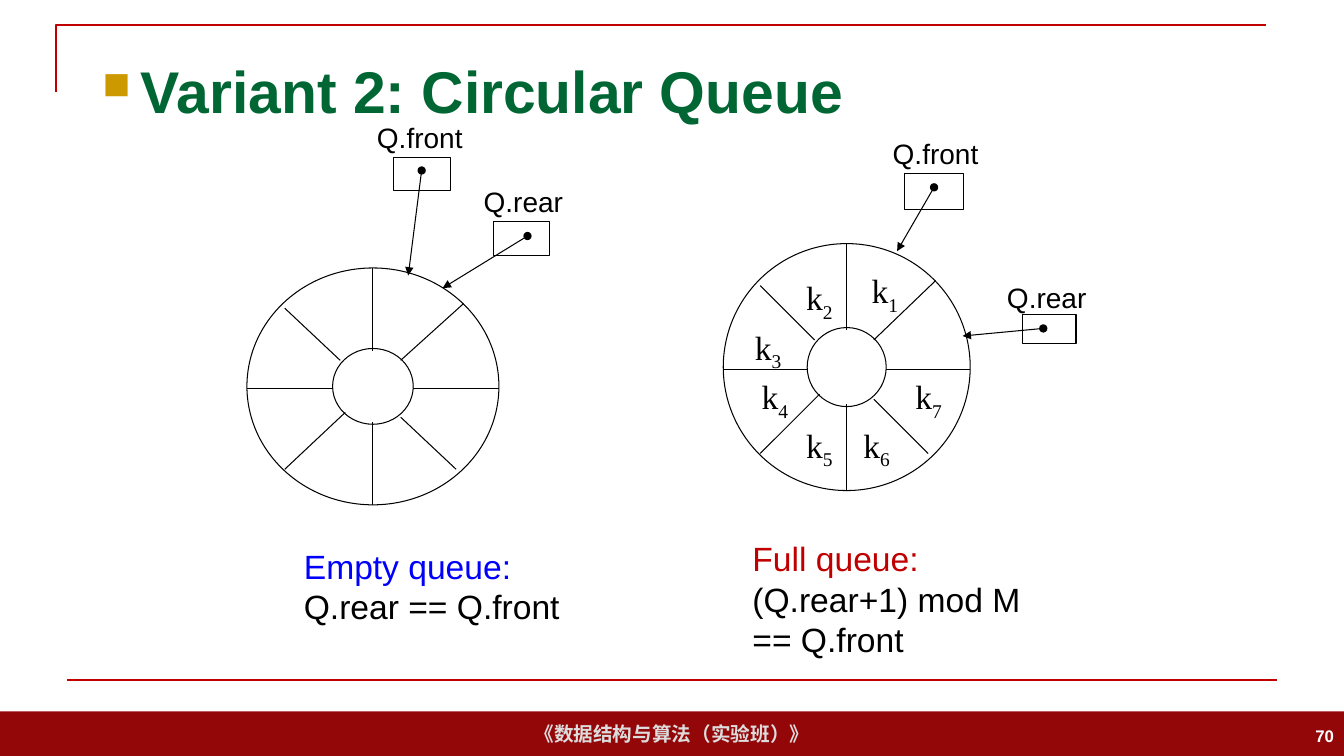
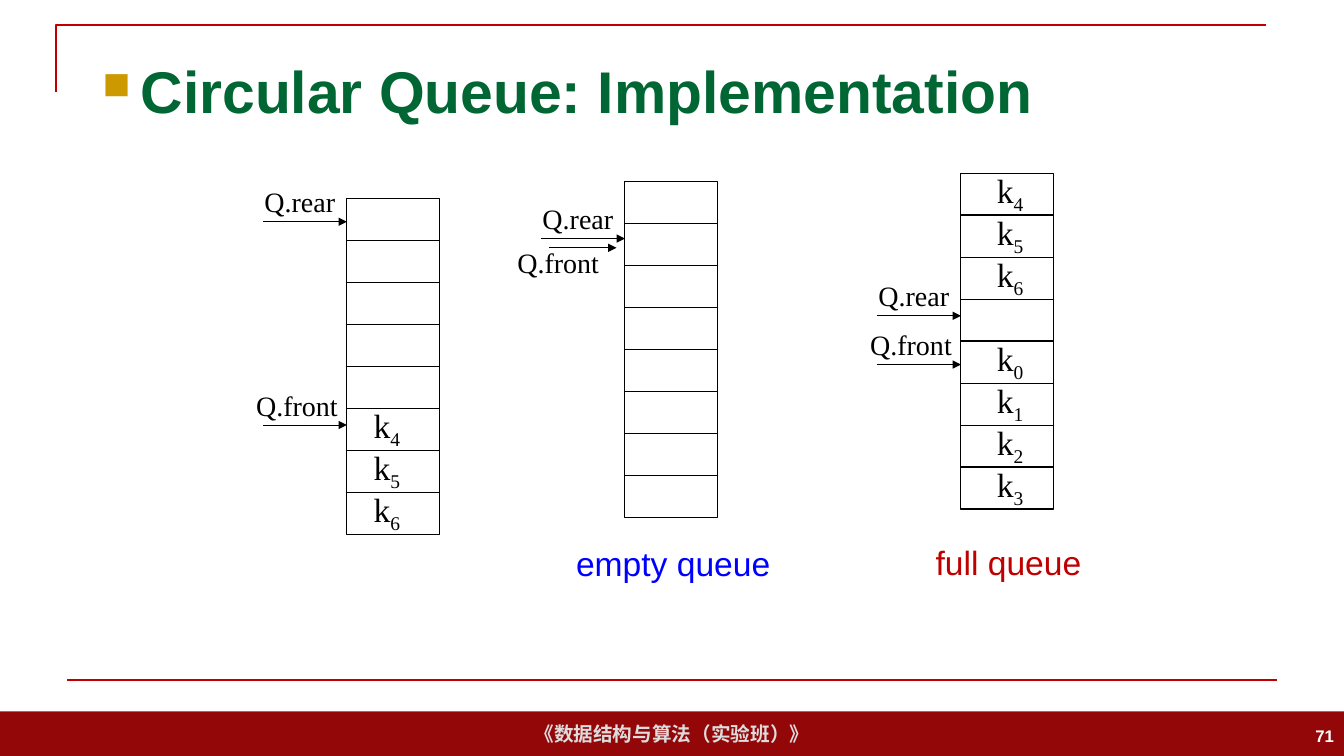
from dataclasses import dataclass

from lxml import etree
from pptx import Presentation
from pptx import util as u
from pptx.dml.color import RGBColor
from pptx.enum import shapes, text
from pptx.oxml import ns

# The slide is a grid of 160 columns by 90 rows, each 1/12 inch
COLUMNS, ROWS = 160, 90
CELL = u.Inches(1) // 12
FIRST_NUMBER = 70


@dataclass(frozen=True)
class Theme:
    ink: str = "000000"
    title: str = "006633"
    bullet: str = "CC9900"
    rule: str = "C00000"
    band: str = "940709"
    band_text: str = "DDDDDD"
    white: str = "FFFFFF"
    empty: str = "0000FF"
    full: str = "C00000"
    sans: str = "Arial"
    serif: str = "Times New Roman"
    title_size: int = 42
    body_size: int = 24
    label_size: int = 20
    footer_size: int = 14
    number_size: int = 12
    thin: float = 0.75
    thick: float = 1.5


THEME = Theme()


def grid(*lengths):
    return [u.Emu(round(length * CELL)) for length in lengths]


def add_xml(parent, tag, **attributes):
    return etree.SubElement(parent, ns.qn(tag), **attributes)


def write(paragraph, content, *, size=THEME.body_size, font=THEME.sans,
          color=THEME.ink, bold=False, align=text.PP_ALIGN.LEFT, subscript=False):
    """Add one formatted run to a paragraph."""
    paragraph.alignment = align
    run = paragraph.add_run()
    run.text = content
    run.font.size = u.Pt(size)
    run.font.name = font
    run.font.bold = bold
    run.font.color.rgb = RGBColor.from_string(color)
    if subscript:
        run._r.get_or_add_rPr().set("baseline", "-25000")


class Deck:
    """Holds the style and the current slide."""

    # Spokes of a ring as shares of its box: outer or inner end to the other end
    SPOKES = [
        (0.5, 0, 0.5, 0.35), (0.5, 0.65, 0.5, 1),
        (0, 0.51, 0.34, 0.51), (0.66, 0.51, 1, 0.51),
        (0.86, 0.15, 0.61, 0.39), (0.39, 0.61, 0.15, 0.85),
        (0.15, 0.17, 0.37, 0.39), (0.61, 0.63, 0.83, 0.85),
    ]
    HUB = (0.34, 0.34, 0.32, 0.32)
    SLOTS, SLOT_WIDTH, SLOT_HEIGHT = 8, 11, 5

    def __init__(self, theme):
        self.theme = theme
        self.prs = Presentation()
        self.prs.slide_width, self.prs.slide_height = grid(COLUMNS, ROWS)
        self.layout = self.prs.slide_layouts[5]
        self.slide = None
        for holder in list(self.layout.placeholders):
            if holder.placeholder_format.type == shapes.PP_PLACEHOLDER.TITLE:
                holder.left, holder.top, holder.width, holder.height = grid(11, 4.8, 138, 11.9)
            else:
                holder.element.getparent().remove(holder.element)

    # Slide, shared frame and title
    def new_slide(self, title):
        self.slide = self.prs.slides.add_slide(self.layout)
        if len(self.prs.slides) == 1:
            self.frame()
        self.title(title)
        number = str(FIRST_NUMBER + len(self.prs.slides) - 1)
        box = self.textbox(124, 85.2, 36, 4.8, wrap=True)
        box.vertical_anchor = text.MSO_ANCHOR.MIDDLE
        write(box.paragraphs[0], number, size=self.theme.number_size, bold=True,
              color=self.theme.white, align=text.PP_ALIGN.RIGHT)

    def frame(self):
        """Draw the band and rules, then hand them to the layout."""
        band = self.shape(shapes.MSO_SHAPE.RECTANGLE, 0, 84.7, COLUMNS, 5.3, fill=self.theme.band)
        band.text_frame.vertical_anchor = text.MSO_ANCHOR.MIDDLE
        band.text_frame.word_wrap = False
        write(band.text_frame.paragraphs[0], "《数据结构与算法（实验班）》",
              size=self.theme.footer_size, color=self.theme.band_text, bold=True,
              align=text.PP_ALIGN.CENTER)

        builder = self.slide.shapes.build_freeform(*grid(6.7, 11))
        builder.add_line_segments([grid(6.7, 3), grid(150.7, 3)], close=False)
        corner = builder.convert_to_shape()
        self.outline(corner, self.theme.rule, self.theme.thick)

        bottom = self.line(8, 81, 152, 81, color=self.theme.rule, width=self.theme.thick)
        for part in (band, corner, bottom):
            self.layout.element.cSld.spTree.append(part.element)

    def title(self, content):
        frame = self.slide.shapes.title.text_frame
        frame.vertical_anchor = text.MSO_ANCHOR.MIDDLE
        frame.auto_size = text.MSO_AUTO_SIZE.NONE
        paragraph = frame.paragraphs[0]
        write(paragraph, content, size=self.theme.title_size,
              color=self.theme.title, bold=True)
        # Square bullet with a hanging indent
        properties = paragraph._p.get_or_add_pPr()
        indent = u.Inches(0.38)
        properties.set("marL", str(indent))
        properties.set("indent", str(-indent))
        bullet_color = add_xml(properties, "a:buClr")
        add_xml(bullet_color, "a:srgbClr", val=self.theme.bullet)
        add_xml(properties, "a:buSzPct", val="65000")
        add_xml(properties, "a:buFont", typeface="Wingdings", charset="2")
        add_xml(properties, "a:buChar", char="n")

    # Basic elements
    def outline(self, shape, color, width):
        shape.shadow.inherit = False
        shape.fill.background()
        shape.line.color.rgb = RGBColor.from_string(color)
        shape.line.width = u.Pt(width)

    def shape(self, preset, left, top, width, height, fill=None):
        shape = self.slide.shapes.add_shape(preset, *grid(left, top, width, height))
        self.outline(shape, self.theme.ink, self.theme.thin)
        if fill:
            shape.fill.solid()
            shape.fill.fore_color.rgb = RGBColor.from_string(fill)
            shape.line.fill.background()
        return shape

    def line(self, x1, y1, x2, y2, color=None, width=None, head=None, tail=None):
        line = self.slide.shapes.add_connector(
            shapes.MSO_CONNECTOR.STRAIGHT, *grid(x1, y1, x2, y2))
        line.line.color.rgb = RGBColor.from_string(color or self.theme.ink)
        line.line.width = u.Pt(width or self.theme.thin)
        properties = line.element.spPr
        for tag, kind in (("a:headEnd", head), ("a:tailEnd", tail)):
            if kind:
                add_xml(properties.find(ns.qn("a:ln")), tag, type=kind)
        add_xml(properties, "a:effectLst")
        return line

    def textbox(self, left, top, width, height, wrap=False):
        frame = self.slide.shapes.add_textbox(*grid(left, top, width, height)).text_frame
        frame.word_wrap = wrap
        return frame

    def label(self, content, left, top, width, font):
        frame = self.textbox(left, top, width, 5.2)
        write(frame.paragraphs[0], content, size=self.theme.label_size, font=font)

    def key(self, index, left, top):
        """Write an element name such as k with a subscript."""
        paragraph = self.textbox(left, top, 5.8, 6).paragraphs[0]
        write(paragraph, "k", font=self.theme.serif)
        write(paragraph, str(index), font=self.theme.serif, subscript=True)

    def caption(self, heading, color, left, top, width, *details):
        frame = self.textbox(left, top, width, 6 + 4.8 * len(details), wrap=True)
        write(frame.paragraphs[0], heading, color=color)
        for detail in details:
            write(frame.add_paragraph(), detail)

    # Queue drawings
    def ring(self, left, top, width, height):
        hub_x, hub_y, hub_w, hub_h = self.HUB
        oval = shapes.MSO_SHAPE.OVAL
        self.shape(oval, left, top, width, height)
        self.shape(oval, left + hub_x * width, top + hub_y * height,
                   hub_w * width, hub_h * height)
        for x1, y1, x2, y2 in self.SPOKES:
            self.line(left + x1 * width, top + y1 * height,
                      left + x2 * width, top + y2 * height)

    def boxed_pointer(self, name, label_at, box, start, end):
        self.label(name, *label_at, 12.7 if name == "Q.front" else 11.9, self.theme.sans)
        self.shape(shapes.MSO_SHAPE.RECTANGLE, *box)
        self.line(*start, *end, head="oval", tail="triangle")

    def array(self, left, top, keys, key_inset):
        """Draw the slots of an array; keys maps a slot to its element."""
        self.shape(shapes.MSO_SHAPE.RECTANGLE, left, top,
                   self.SLOT_WIDTH, self.SLOTS * self.SLOT_HEIGHT)
        for slot in range(1, self.SLOTS):
            y = top + slot * self.SLOT_HEIGHT
            self.line(left, y, left + self.SLOT_WIDTH, y)
        for slot, index in keys.items():
            self.key(index, left + key_inset, top + slot * self.SLOT_HEIGHT - 1)

    def array_pointer(self, name, tip, y):
        shift, width = (2, 12.1) if name == "Q.front" else (1, 10.8)
        self.label(name, tip - 10 - shift, y - 5, width, self.theme.serif)
        self.line(tip - 10, y, tip, y, tail="triangle")


def circular_queue(deck):
    deck.new_slide("Variant 2: Circular Queue")

    # Empty ring
    deck.ring(29.4, 31.9, 30, 28.2)
    deck.boxed_pointer("Q.rear", (56.4, 21.4), (58.7, 26.4, 6.7, 4),
                       (62.8, 28.1), (52.7, 34.3))
    deck.boxed_pointer("Q.front", (43.7, 13.8), (46.9, 18.7, 6.7, 4),
                       (50.2, 20.3), (48.6, 32.8))
    deck.caption("Empty queue:", THEME.empty, 35, 64.4, 36, "Q.rear == Q.front")

    # Full ring
    deck.ring(86.1, 29, 29.4, 29.4)
    key_places = [(102.6, 31.6), (94.8, 32.4), (88.7, 38.3), (89.5, 44.2),
                  (94.8, 50), (101.6, 50), (107.8, 44.2)]
    for index, place in enumerate(key_places, start=1):
        deck.key(index, *place)
    deck.boxed_pointer("Q.front", (105.1, 15.7), (107.7, 20.7, 7, 4.2),
                       (111.2, 22.3), (106.8, 29.9))
    deck.boxed_pointer("Q.rear", (118.7, 32.8), (121.7, 37.4, 6.4, 3.5),
                       (124.2, 39.1), (114.6, 40))
    deck.caption("Full queue:", THEME.full, 88.4, 63.5, 46.9,
                 "(Q.rear+1) mod M", "== Q.front")


def implementation(deck):
    deck.new_slide("Circular Queue: Implementation")

    # Partly filled array
    partial_left, partial_top = 41.3, 23.6
    deck.array(partial_left, partial_top, {5: 4, 6: 5, 7: 6}, key_inset=2)
    deck.array_pointer("Q.rear", partial_left, partial_top + 2.8)
    deck.array_pointer("Q.front", partial_left, partial_top + 27)

    # Empty array: both pointers meet, the front label sits below its arrow
    empty_left, empty_top = 74.4, 21.6
    deck.array(empty_left, empty_top, {}, key_inset=2)
    deck.array_pointer("Q.rear", empty_left, empty_top + 6.8)
    deck.line(empty_left - 9, 29.5, empty_left - 1, 29.5, tail="triangle")
    deck.label("Q.front", 60.4, 28.6, 12.1, THEME.serif)
    deck.caption("empty queue", THEME.empty, 67.4, 64.1, 26)

    # Full array
    full_left, full_top = 114.4, 20.6
    deck.array(full_left, full_top, {0: 4, 1: 5, 2: 6, 4: 0, 5: 1, 6: 2, 7: 3},
               key_inset=3.1)
    deck.array_pointer("Q.rear", full_left, full_top + 17)
    deck.array_pointer("Q.front", full_left, full_top + 22.8)
    deck.caption("full queue", THEME.full, 110.2, 63.9, 20)


def main():
    deck = Deck(THEME)
    circular_queue(deck)
    implementation(deck)
    deck.prs.save("out.pptx")


if __name__ == "__main__":
    main()
